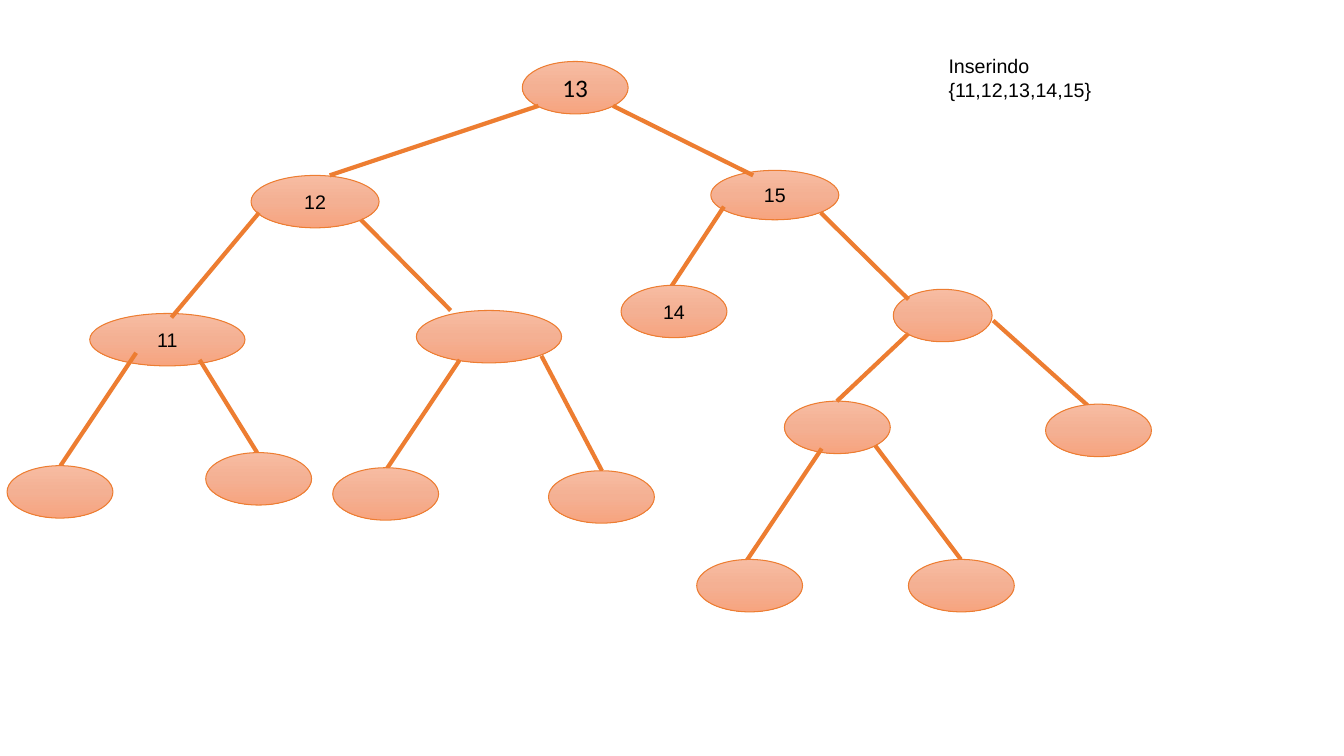
import copy

import lxml.etree
import pptx
import pptx.dml.color
import pptx.enum.shapes
import pptx.enum.text
import pptx.oxml.ns
import pptx.util

Inches = pptx.util.Inches
COLORS = {
    "top": "F7BCA2",
    "middle": "F4B093",
    "bottom": "F7A47F",
    "outline": "ED7D31",
    "text": "000000",
}
LEAF_SIZE = (1.05, 0.52)

# left, top, width, height, label, label format
INNER_NODES = [
    (5.18, 0.61, 1.05, 0.52, "13", {"size": 18, "font": "Calibri"}),
    (2.49, 1.74, 1.27, 0.52, "12", {}),
    (7.05, 1.69, 1.27, 0.49, "15", {}),
    (0.89, 3.11, 1.54, 0.52, "11", {}),
    (4.13, 3.08, 1.44, 0.52, "", {}),
    (8.86, 2.87, 0.98, 0.52, "", {}),
    (7.78, 3.98, 1.05, 0.52, "", {}),
]
# left, top, label
LEAVES = [
    (6.16, 2.83, "14"),
    (0.07, 4.62, ""),
    (2.04, 4.49, ""),
    (3.3, 4.64, ""),
    (5.44, 4.67, ""),
    (10.37, 4.01, ""),
    (6.91, 5.55, ""),
    (9.01, 5.55, ""),
]
# parent x, y, child x, y
BRANCHES = [
    (5.34, 1.05, 3.27, 1.74),
    (6.08, 1.05, 7.47, 1.74),
    (2.57, 2.11, 1.7, 3.15),
    (3.58, 2.18, 4.47, 3.08),
    (7.18, 2.05, 6.64, 2.87),
    (8.14, 2.11, 9.01, 2.97),
    (1.35, 3.5, 0.6, 4.62),
    (1.98, 3.57, 2.55, 4.49),
    (4.56, 3.57, 3.81, 4.69),
    (5.37, 3.53, 5.97, 4.67),
    (9.01, 3.31, 8.3, 3.98),
    (9.85, 3.18, 10.83, 4.06),
    (8.15, 4.45, 7.4, 5.57),
    (8.68, 4.42, 9.53, 5.55),
]


def color(name):
    """Return the named colour as an RGBColor."""
    return pptx.dml.color.RGBColor.from_string(COLORS[name])


def write_text(shape, text, size=14, font="Arial", align="LEFT", anchor="TOP", inset=None):
    """Write one formatted paragraph into a shape."""
    frame = shape.text_frame
    frame.word_wrap = True
    frame.vertical_anchor = getattr(pptx.enum.text.MSO_ANCHOR, anchor)
    if inset is not None:
        frame.margin_left = frame.margin_right = Inches(inset)
        frame.margin_top = frame.margin_bottom = Inches(inset)
    paragraph = frame.paragraphs[0]
    paragraph.alignment = getattr(pptx.enum.text.PP_ALIGN, align)
    run = paragraph.add_run()
    run.text = text
    run.font.size = pptx.util.Pt(size)
    run.font.name = font
    run.font.color.rgb = color("text")


def fill_gradient(shape):
    """Fill a shape with the three-stop vertical gradient."""
    shape.fill.gradient()
    shape.fill.gradient_angle = 270
    stop_list = next(shape._element.spPr.iter(pptx.oxml.ns.qn("a:gsLst")))
    stop_list.insert(1, copy.deepcopy(stop_list[0]))
    stops = zip(shape.fill.gradient_stops, (0, 0.5, 1), ("top", "middle", "bottom"))
    for stop, position, name in stops:
        stop.position = position
        stop.color.rgb = color(name)


def add_node(slide, left, top, width, height, label="", **label_format):
    """Add an elliptical tree node, with a label if it holds a value."""
    node = slide.shapes.add_shape(
        pptx.enum.shapes.MSO_SHAPE.OVAL,
        Inches(left), Inches(top), Inches(width), Inches(height))
    node.shadow.inherit = False
    fill_gradient(node)
    node.line.color.rgb = color("outline")
    node.line.width = pptx.util.Pt(0.75)
    if label:
        write_text(node, label, align="CENTER", anchor="MIDDLE", inset=0, **label_format)


def add_branch(slide, *ends):
    """Add a straight line from a parent to its child."""
    branch = slide.shapes.add_connector(
        pptx.enum.shapes.MSO_CONNECTOR.STRAIGHT, *map(Inches, ends))
    branch.line.color.rgb = color("outline")
    branch.line.width = pptx.util.Pt(3)
    lxml.etree.SubElement(branch._element.spPr, pptx.oxml.ns.qn("a:effectLst"))


def add_caption(slide, text, left, top, width, height):
    """Add a wrapping text box."""
    caption = slide.shapes.add_textbox(
        Inches(left), Inches(top), Inches(width), Inches(height))
    write_text(caption, text)


def main():
    """Build the binary search tree slide."""
    presentation = pptx.Presentation()
    presentation.slide_width = Inches(13.33)
    presentation.slide_height = Inches(7.5)
    slide = presentation.slides.add_slide(presentation.slide_layouts[6])
    for *box, label, label_format in INNER_NODES:
        add_node(slide, *box, label, **label_format)
    for ends in BRANCHES:
        add_branch(slide, *ends)
    for left, top, label in LEAVES:
        add_node(slide, left, top, *LEAF_SIZE, label)
    add_caption(slide, "Inserindo {11,12,13,14,15}", 9.31, 0.49, 2.27, 0.57)
    presentation.save("out.pptx")


main()
